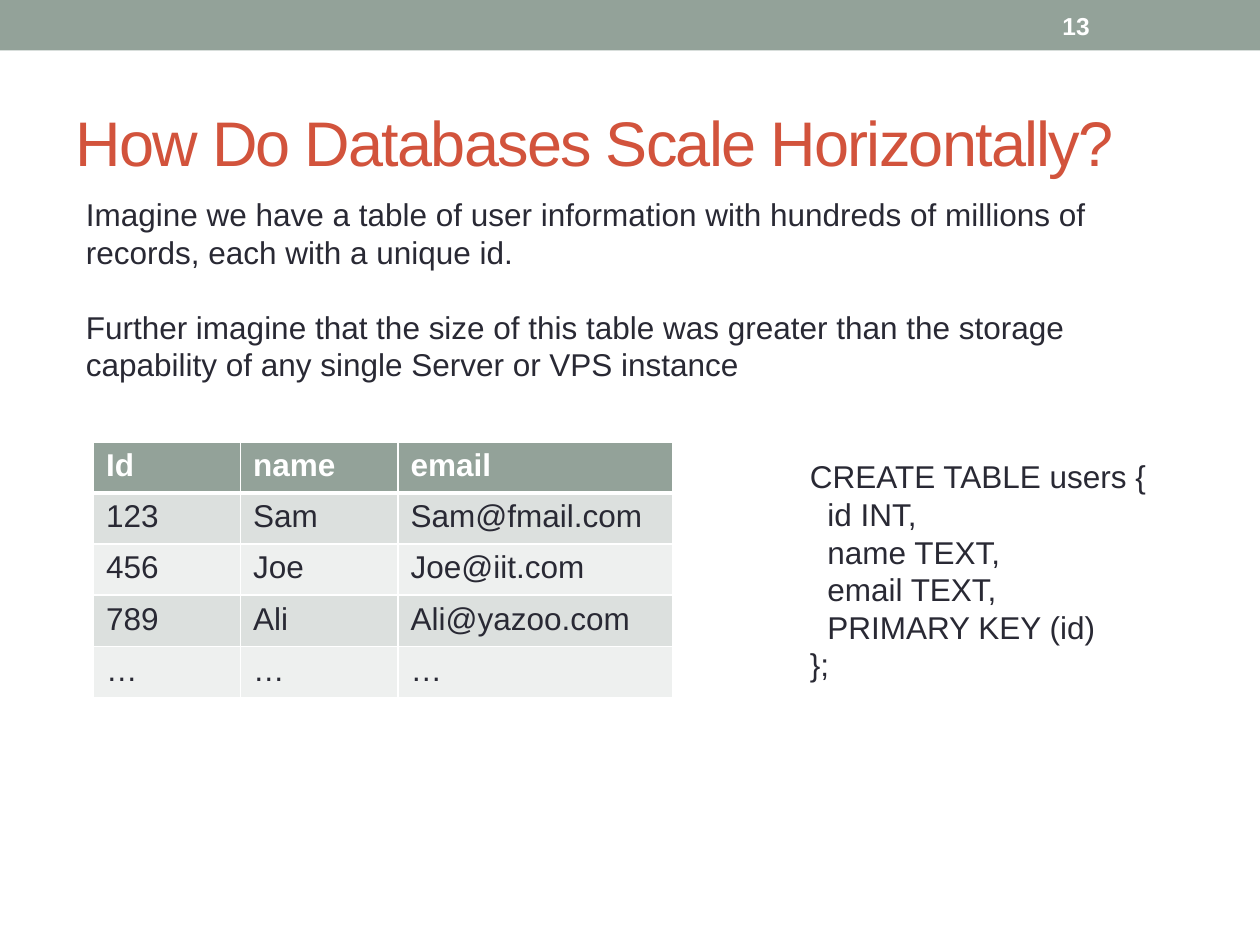
from dataclasses import dataclass

import lxml.etree
import pptx
import pptx.dml.color
import pptx.enum.shapes
import pptx.enum.text
import pptx.oxml.ns
import pptx.util

Pt = pptx.util.Pt
FONT = "Arial"
SAGE, RUST, INK, WHITE = "93A299", "D2533C", "292934", "FFFFFF"
BANDS = ("DCE0DE", "EEF0EF")
LINE_PITCH = 21.5


@dataclass(frozen=True)
class Box:
    left: float
    top: float
    width: float
    height: float

    def lengths(self) -> tuple:
        return Pt(self.left), Pt(self.top), Pt(self.width), Pt(self.height)


@dataclass(frozen=True)
class Style:
    size: float = 18
    color: str = INK
    bold: bool = False


@dataclass(frozen=True)
class TextBlock:
    box: Box
    lines: tuple
    style: Style = Style()
    wrap: bool = True
    pitch: float | None = LINE_PITCH
    gap: float = 0
    anchor: pptx.enum.text.MSO_ANCHOR = pptx.enum.text.MSO_ANCHOR.TOP


def rgb(value: str) -> pptx.dml.color.RGBColor:
    return pptx.dml.color.RGBColor.from_string(value)


def paint(target, color: str) -> None:
    target.fill.solid()
    target.fill.fore_color.rgb = rgb(color)


def add_run(paragraph, text: str, style: Style):
    run = paragraph.add_run()
    run.text = text
    run.font.name = FONT
    run.font.size = Pt(style.size)
    run.font.bold = style.bold
    run.font.color.rgb = rgb(style.color)
    return run


def add_text_block(slide, block: TextBlock) -> None:
    frame = slide.shapes.add_textbox(*block.box.lengths()).text_frame
    frame.word_wrap = block.wrap
    frame.vertical_anchor = block.anchor
    for index, line in enumerate(block.lines):
        paragraph = frame.add_paragraph() if index else frame.paragraphs[0]
        if block.pitch:
            paragraph.line_spacing = Pt(block.pitch)
        if index and block.gap:
            paragraph.space_before = Pt(block.gap)
        add_run(paragraph, line, block.style)


def add_header_bar(slide, box: Box) -> None:
    bar = slide.shapes.add_shape(pptx.enum.shapes.MSO_SHAPE.RECTANGLE, *box.lengths())
    bar.shadow.inherit = False
    paint(bar, SAGE)
    bar.line.fill.background()


def set_title(slide, box: Box, text: str) -> None:
    title = slide.shapes.title
    title.left, title.top, title.width, title.height = box.lengths()
    title.text_frame.vertical_anchor = pptx.enum.text.MSO_ANCHOR.MIDDLE
    paragraph = title.text_frame.paragraphs[0]
    paragraph.alignment = pptx.enum.text.PP_ALIGN.LEFT
    run = add_run(paragraph, text, Style(36, RUST))
    run.font._element.set("spc", "-100")


def set_borders(cell, widths: dict) -> None:
    properties = cell._tc.get_or_add_tcPr()
    qn = pptx.oxml.ns.qn
    for index, (side, width) in enumerate(widths.items()):
        border = lxml.etree.Element(qn(f"a:ln{side}"), w=str(Pt(width)))
        fill = lxml.etree.SubElement(border, qn("a:solidFill"))
        lxml.etree.SubElement(fill, qn("a:srgbClr"), val=WHITE)
        properties.insert(index, border)


def add_user_table(slide, box: Box, column_widths: tuple, records: tuple) -> None:
    table = slide.shapes.add_table(
        len(records), len(column_widths), *box.lengths()
    ).table
    for column, width in zip(table.columns, column_widths):
        column.width = Pt(width)
    for row_index, record in enumerate(records):
        is_header = row_index == 0
        style = Style(color=WHITE, bold=True) if is_header else Style()
        fill = SAGE if is_header else BANDS[(row_index - 1) % 2]
        widths = {
            "L": 1,
            "R": 1,
            "T": 3 if row_index == 1 else 1,
            "B": 3 if is_header else 1,
        }
        for column_index, value in enumerate(record):
            cell = table.cell(row_index, column_index)
            paint(cell, fill)
            set_borders(cell, widths)
            add_run(cell.text_frame.paragraphs[0], value, style)


def main() -> None:
    deck = pptx.Presentation()
    deck.slide_width, deck.slide_height = Pt(720), Pt(540)
    slide = deck.slides.add_slide(deck.slide_layouts[5])

    add_header_bar(slide, Box(0, 0, 720, 28.8))
    set_title(slide, Box(36, 42, 648, 78), "How Do Databases Scale Horizontally?")
    add_user_table(
        slide,
        Box(53.5, 252.5, 331, 146),
        (84, 90, 157),
        (
            ("Id", "name", "email"),
            ("123", "Sam", "Sam@fmail.com"),
            ("456", "Joe", "Joe@iit.com"),
            ("789", "Ali", "Ali@yazoo.com"),
            ("…", "…", "…"),
        ),
    )

    page_number = TextBlock(
        Box(600, 1.5, 84, 26),
        ("13",),
        Style(14, WHITE, True),
        pitch=None,
        anchor=pptx.enum.text.MSO_ANCHOR.MIDDLE,
    )
    schema = TextBlock(
        Box(455.75, 258, 208, 138),
        (
            "CREATE TABLE users {",
            "  id INT,",
            "  name TEXT,",
            "  email TEXT,",
            "  PRIMARY KEY (id)",
            "};",
        ),
        wrap=False,
    )
    scenario = TextBlock(
        Box(42, 108, 642, 117),
        (
            "Imagine we have a table of user information with hundreds of millions of "
            "records, each with a unique id.",
            "Further imagine that the size of this table was greater than the storage "
            "capability of any single Server or VPS instance",
        ),
        gap=LINE_PITCH,
    )
    for block in (page_number, schema, scenario):
        add_text_block(slide, block)

    deck.save("out.pptx")


if __name__ == "__main__":
    main()
